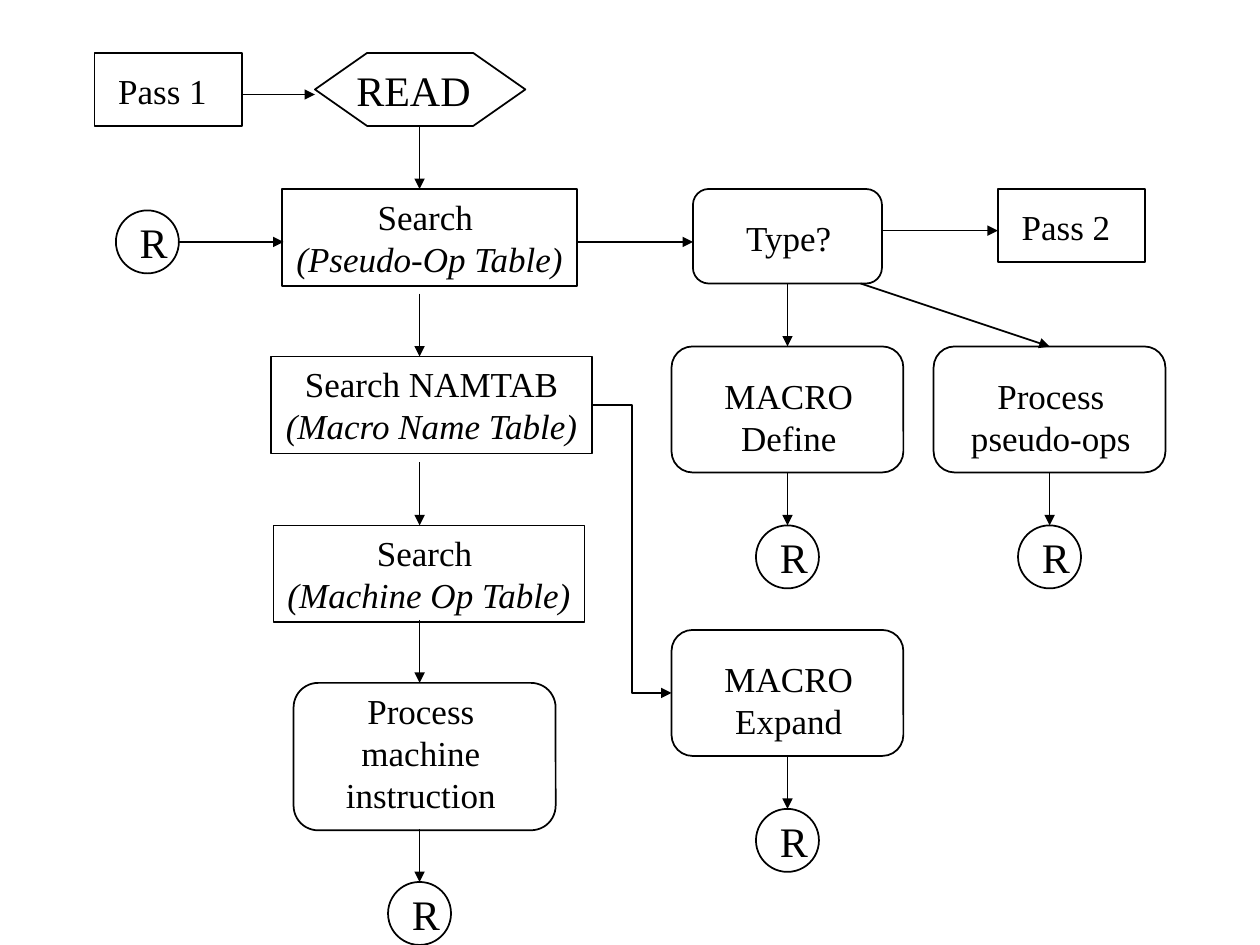
from dataclasses import dataclass
from typing import NamedTuple, Optional, Union

from lxml.etree import SubElement
from pptx import Presentation
from pptx.dml.color import RGBColor
from pptx.enum.shapes import MSO_CONNECTOR, MSO_SHAPE
from pptx.enum.text import MSO_ANCHOR, MSO_AUTO_SIZE, PP_ALIGN
from pptx.oxml.ns import qn
from pptx.util import Inches, Pt

COLORS = {"ink": "000000"}
FONT = "Times New Roman"
TOP, LEFT, BOTTOM, RIGHT = range(4)


class Area(NamedTuple):
    left: float
    top: float
    width: float
    height: float


class Point(NamedTuple):
    x: float
    y: float


class Joint(NamedTuple):
    node: str
    site: int


@dataclass
class Node:
    name: str
    kind: MSO_SHAPE
    area: Area
    lines: tuple
    label: Optional[Area] = None  # None: the text sits in the shape itself
    size: int = 20
    align: PP_ALIGN = PP_ALIGN.CENTER
    wrap: bool = True
    adjustment: Optional[float] = None


@dataclass
class Arrow:
    start: Union[Point, Joint]
    end: Union[Point, Joint]
    kind: MSO_CONNECTOR = MSO_CONNECTOR.STRAIGHT


def pass_box(name: str, left: float, top: float, label_top: float) -> Node:
    return Node(name, MSO_SHAPE.RECTANGLE, Area(left, top, 1.17, 0.58), (name,),
                Area(left, label_top, 1.08, 0.44))


def search_box(name: str, left: float, top: float, width: float, lines: tuple) -> Node:
    return Node(name, MSO_SHAPE.RECTANGLE, Area(left, top, width, 0.77), lines, wrap=False)


def action_box(name: str, left: float, top: float, lines: tuple) -> Node:
    return Node(name, MSO_SHAPE.ROUNDED_RECTANGLE, Area(left, top, 1.84, 1), lines,
                Area(left + 0.09, top + 0.17, 1.68, 0.77))


def return_circle(name: str, left: float, top: float) -> Node:
    return Node(name, MSO_SHAPE.OVAL, Area(left, top, 0.5, 0.5), ("R",),
                Area(left + 0.09, top, 0.42, 0.5), 24, PP_ALIGN.LEFT, False)


NODES = [
    pass_box("Pass 1", 0.75, 0.42, 0.5),
    Node("read", MSO_SHAPE.HEXAGON, Area(2.5, 0.42, 1.67, 0.58), ("READ",),
         Area(2.73, 0.46, 1.11, 0.5), 24, PP_ALIGN.LEFT, False, 0.714),
    search_box("pseudo table", 2.24, 1.5, 2.34, ("Search ", "(Pseudo-Op Table)")),
    search_box("macro table", 2.15, 2.83, 2.55, ("Search NAMTAB", "(Macro Name Table)")),
    search_box("machine table", 2.17, 4.17, 2.47, ("Search ", "(Machine Op Table)")),
    Node("machine", MSO_SHAPE.ROUNDED_RECTANGLE, Area(2.33, 5.42, 2.08, 1.17),
         ("Process machine instruction",), Area(2.5, 5.42, 1.68, 1.1)),
    Node("type", MSO_SHAPE.ROUNDED_RECTANGLE, Area(5.5, 1.5, 1.5, 0.75),
         ("Type?",), Area(5.42, 1.67, 1.68, 0.44)),
    pass_box("Pass 2", 7.92, 1.5, 1.58),
    action_box("define", 5.33, 2.75, ("MACRO", "Define")),
    action_box("pseudo", 7.41, 2.75, ("Process", "pseudo-ops")),
    action_box("expand", 5.33, 5, ("MACRO", "Expand")),
    return_circle("entry", 0.92, 1.67),
    return_circle("machine return", 3.08, 7),
    return_circle("define return", 6, 4.17),
    return_circle("pseudo return", 8.08, 4.17),
    return_circle("expand return", 6, 6.42),
]

ARROWS = [
    # Main column
    Arrow(Point(3.33, 1), Point(3.33, 1.5)),
    Arrow(Point(3.33, 2.33), Point(3.33, 2.83)),
    Arrow(Point(3.33, 3.67), Point(3.33, 4.17)),
    Arrow(Point(3.33, 4.92), Point(3.33, 5.42)),
    Arrow(Point(3.33, 6.58), Joint("machine return", TOP)),
    # Across
    Arrow(Point(1.92, 0.75), Point(2.5, 0.75)),
    Arrow(Point(1.42, 1.92), Point(2.25, 1.92)),
    Arrow(Point(4.58, 1.92), Point(5.5, 1.92)),
    Arrow(Point(7, 1.83), Point(7.92, 1.83)),
    # Branches
    Arrow(Joint("type", BOTTOM), Joint("define", TOP)),
    Arrow(Point(6.83, 2.25), Joint("pseudo", TOP)),
    Arrow(Joint("macro table", RIGHT), Joint("expand", LEFT), MSO_CONNECTOR.ELBOW),
] + [Arrow(Joint(name, BOTTOM), Joint(f"{name} return", TOP))
     for name in ("define", "pseudo", "expand")]


def style_line(line) -> None:
    line.color.rgb = RGBColor.from_string(COLORS["ink"])
    line.width = Pt(1)


def write_text(box, node: Node) -> None:
    frame = box.text_frame
    frame.word_wrap = node.wrap
    frame.auto_size = MSO_AUTO_SIZE.SHAPE_TO_FIT_TEXT
    frame.vertical_anchor = MSO_ANCHOR.TOP
    for index, line in enumerate(node.lines):
        para = frame.add_paragraph() if index else frame.paragraphs[0]
        para.text = line
        para.alignment = node.align
        para.font.name = FONT
        para.font.size = Pt(node.size)
        para.font.italic = line.startswith("(")
        para.font.color.rgb = RGBColor.from_string(COLORS["ink"])


def draw_node(page, node: Node):
    shape = page.shapes.add_shape(node.kind, *map(Inches, node.area))
    shape.shadow.inherit = False
    shape.fill.background()
    style_line(shape.line)
    if node.adjustment is not None:
        shape.adjustments[0] = node.adjustment
    box = page.shapes.add_textbox(*map(Inches, node.label)) if node.label else shape
    write_text(box, node)
    return shape


def draw_arrow(page, arrow: Arrow, shapes: dict) -> None:
    # Joined ends are placed by the connect calls
    start, end = (Point(0, 0) if isinstance(spot, Joint) else spot
                  for spot in (arrow.start, arrow.end))
    connector = page.shapes.add_connector(arrow.kind, *map(Inches, start + end))
    if isinstance(arrow.start, Joint):
        connector.begin_connect(shapes[arrow.start.node], arrow.start.site)
    if isinstance(arrow.end, Joint):
        connector.end_connect(shapes[arrow.end.node], arrow.end.site)
    style_line(connector.line)
    properties = connector.element.spPr
    SubElement(properties.find(qn("a:ln")), qn("a:tailEnd"), type="triangle")
    SubElement(properties, qn("a:effectLst"))


def main() -> None:
    deck = Presentation()
    deck.slide_width, deck.slide_height = Inches(10), Inches(7.5)
    page = deck.slides.add_slide(deck.slide_layouts[6])
    shapes = {node.name: draw_node(page, node) for node in NODES}
    for arrow in ARROWS:
        draw_arrow(page, arrow, shapes)
    deck.save("out.pptx")


if __name__ == "__main__":
    main()
